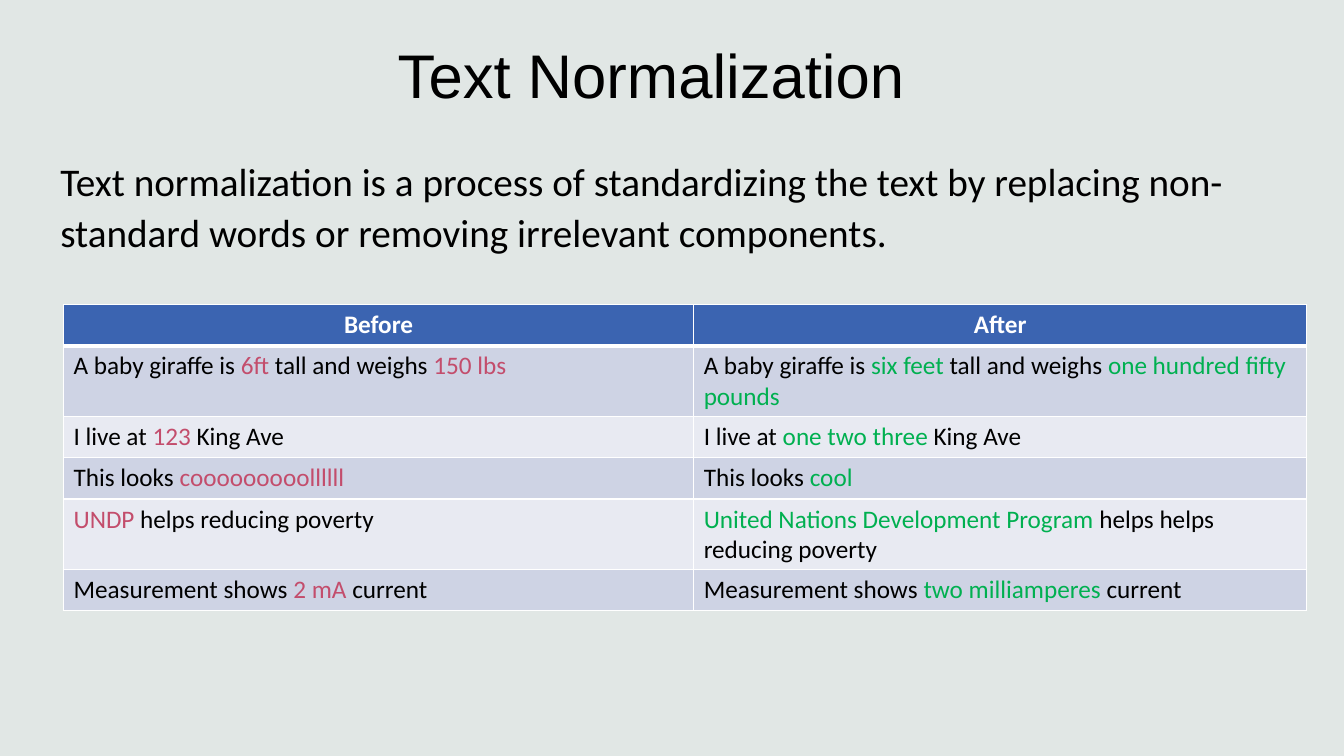
"""Build a slide that explains text normalization with a before and after table."""
from lxml import etree
from pptx import Presentation
from pptx.dml.color import RGBColor
from pptx.enum.shapes import MSO_SHAPE
from pptx.enum.text import MSO_ANCHOR, PP_ALIGN
from pptx.oxml.ns import qn
from pptx.util import Inches, Pt

RECTANGLE = MSO_SHAPE.RECTANGLE
CENTER, LEFT = PP_ALIGN.CENTER, PP_ALIGN.LEFT
MIDDLE, TOP = MSO_ANCHOR.MIDDLE, MSO_ANCHOR.TOP

TITLE = "Text Normalization"
DEFINITION = (
    "Text normalization is a process of standardizing the text by replacing "
    "non-standard words or removing irrelevant components."
)
HEADINGS = ("Before", "After")
# Asterisks enclose the words that change.
EXAMPLES = [
    ("A baby giraffe is *6ft* tall and weighs *150 lbs*",
     "A baby giraffe is *six feet *tall and weighs *one hundred fifty pounds*"),
    ("I live at *123* King Ave", "I live at *one two three *King Ave"),
    ("This looks *cooooooooollllll*", "This looks *cool*"),
    ("*UNDP* helps reducing poverty",
     "*United Nations Development Program *helps helps reducing poverty"),
    ("Measurement shows *2 mA *current",
     "Measurement shows *two milliamperes *current"),
]

SLIDE_WIDTH, SLIDE_HEIGHT = 13.33, 7.5
COLUMN_WIDTHS = (6.25, 6.08)
ROW_HEIGHT = 0.41
BLACK, WHITE = "000000", "FFFFFF"
BACKDROP, BACKDROP_ALPHA = "D5DEDB", 70
HEADER_FILL = "3B64B1"
BAND_FILLS = ("CED3E4", "E8EAF2")
HIGHLIGHTS = ("C34D6C", "00B050")


def color(hex_code):
    return RGBColor.from_string(hex_code)


def set_fill(target, hex_code):
    target.fill.solid()
    target.fill.fore_color.rgb = color(hex_code)


def style(para, font_name, size, hex_code=BLACK, bold=False, align=LEFT):
    para.alignment = align
    font = para.font
    font.name, font.size, font.bold = font_name, Pt(size), bold
    font.color.rgb = color(hex_code)


def add_backdrop(page):
    backdrop = page.shapes.add_shape(
        RECTANGLE, 0, 0, Inches(SLIDE_WIDTH), Inches(SLIDE_HEIGHT))
    backdrop.shadow.inherit = False
    backdrop.line.fill.background()
    set_fill(backdrop, BACKDROP)
    tint = backdrop.fill._xPr.find(qn("a:solidFill"))[0]
    etree.SubElement(tint, qn("a:alpha"), val=str(BACKDROP_ALPHA * 1000))


def add_text(page, text, place, anchor):
    box = page.shapes.add_textbox(*map(Inches, place))
    box.text_frame.word_wrap = True
    box.text_frame.vertical_anchor = anchor
    para = box.text_frame.paragraphs[0]
    para.text = text
    return para


def set_borders(cell, bottom_width):
    properties = cell._tc.get_or_add_tcPr()
    widths = {"a:lnL": 1, "a:lnR": 1, "a:lnT": 1, "a:lnB": bottom_width}
    for position, (tag, width) in enumerate(widths.items()):
        line = etree.Element(qn(tag), w=str(Pt(width)))
        solid = etree.SubElement(line, qn("a:solidFill"))
        etree.SubElement(solid, qn("a:srgbClr"), val=WHITE)
        properties.insert(position, line)


def fill_cell(cell, text, highlight, is_header, fill):
    set_fill(cell, fill)
    set_borders(cell, 3 if is_header else 1)
    para = cell.text_frame.paragraphs[0]
    style(para, "Calibri", 18, WHITE if is_header else BLACK, is_header,
          CENTER if is_header else LEFT)
    for index, part in enumerate(text.split("*")):
        if part:
            span = para.add_run()
            span.text = part
            if index % 2:
                span.font.color.rgb = color(highlight)


def add_examples(page):
    rows = [HEADINGS, *EXAMPLES]
    table = page.shapes.add_table(
        len(rows), len(HEADINGS), Inches(0.63), Inches(3.02),
        Inches(sum(COLUMN_WIDTHS)), Inches(ROW_HEIGHT * len(rows))).table
    for column, width in zip(table.columns, COLUMN_WIDTHS):
        column.width = Inches(width)
    for row_index, texts in enumerate(rows):
        table.rows[row_index].height = Inches(ROW_HEIGHT)
        is_header = row_index == 0
        fill = HEADER_FILL if is_header else BAND_FILLS[(row_index - 1) % 2]
        for column_index, text in enumerate(texts):
            fill_cell(table.cell(row_index, column_index), text,
                      HIGHLIGHTS[column_index], is_header, fill)


def main():
    deck = Presentation()
    deck.slide_width, deck.slide_height = Inches(SLIDE_WIDTH), Inches(SLIDE_HEIGHT)
    page = deck.slides.add_slide(deck.slide_layouts[6])
    add_backdrop(page)
    title = add_text(page, TITLE, (0.5, 0.17, 11.92, 1.12), MIDDLE)
    style(title, "Arial", 44, align=CENTER)
    definition = add_text(page, DEFINITION, (0.5, 1.46, 12.33, 4.59), TOP)
    style(definition, "Calibri", 28)
    definition.line_spacing = 1.1
    definition.space_before = Pt(10)
    add_examples(page)
    deck.save("out.pptx")


if __name__ == "__main__":
    main()
